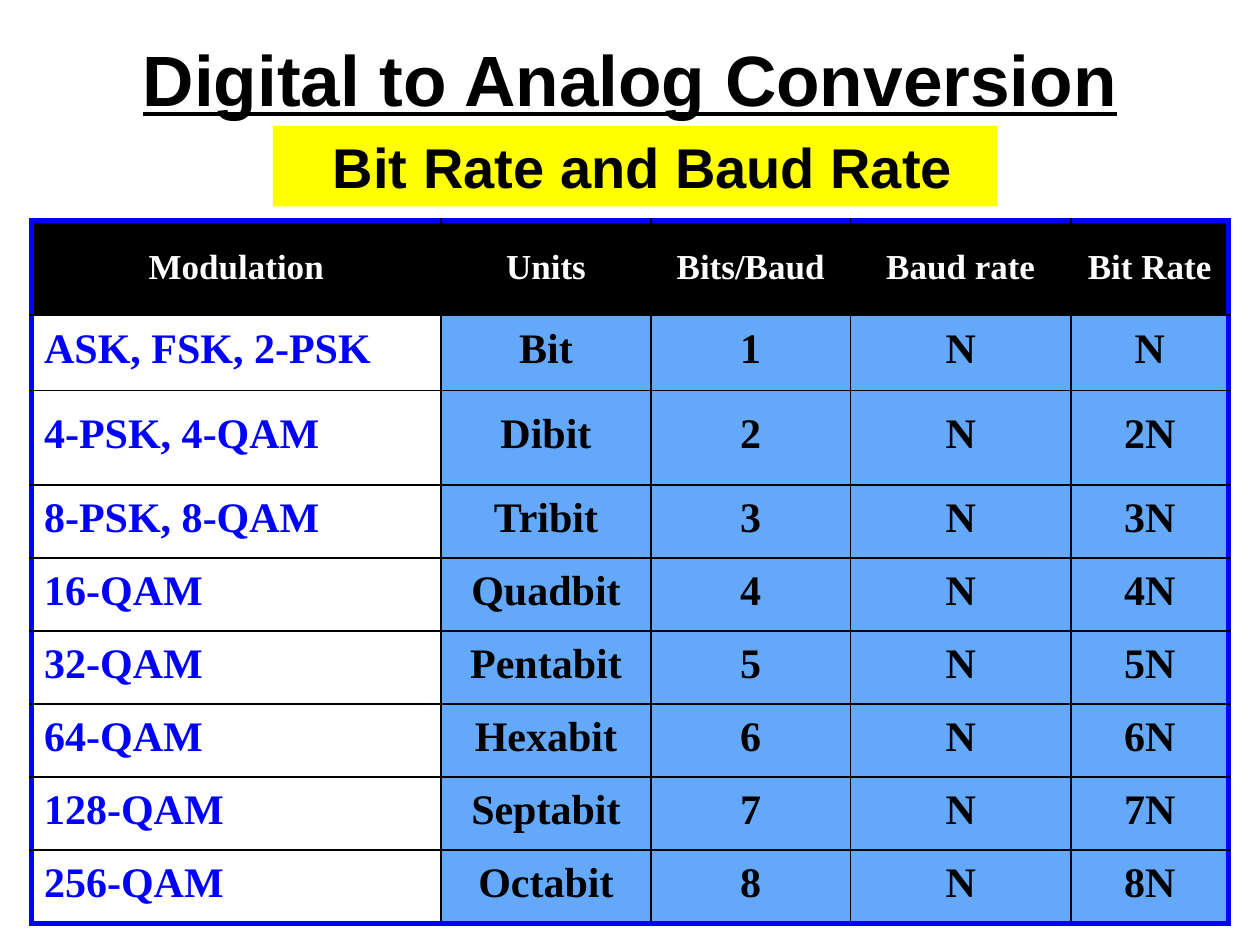
from lxml import etree
from pptx import Presentation
from pptx.dml.color import RGBColor
from pptx.enum.shapes import MSO_SHAPE
from pptx.enum.text import MSO_ANCHOR, PP_ALIGN
from pptx.oxml.ns import qn
from pptx.util import Pt

RECT = MSO_SHAPE.RECTANGLE
TOP, MID = MSO_ANCHOR.TOP, MSO_ANCHOR.MIDDLE
LEFT, MIDDLE = PP_ALIGN.LEFT, PP_ALIGN.CENTER
BLACK, WHITE, BLUE = "000000", "FFFFFF", "0000FF"
YELLOW, SKY = "FFFF00", "64A8FA"
SANS, SERIF = "Arial", "Times New Roman"

TITLE = "Digital to Analog Conversion"
TOPIC = " Bit Rate and Baud Rate"
HEAD = ["Modulation", "Units", "Bits/Baud", "Baud rate", "Bit Rate"]
UNITS = [
    ("ASK, FSK, 2-PSK", "Bit"),
    ("4-PSK, 4-QAM", "Dibit"),
    ("8-PSK, 8-QAM", "Tribit"),
    ("16-QAM", "Quadbit"),
    ("32-QAM", "Pentabit"),
    ("64-QAM", "Hexabit"),
    ("128-QAM", "Septabit"),
    ("256-QAM", "Octabit"),
]
WIDTHS = [234, 120, 114, 126, 90]
HEIGHTS = [54, 43.2, 54] + [41.75] * 6


def color(code):
    return RGBColor.from_string(code)


def write(frame, text, size=24, font=SANS, ink=BLACK, align=MIDDLE,
          line=None, under=None):
    par = frame.paragraphs[0]
    par.alignment = align
    par.line_spacing = line
    run = par.add_run()
    run.text = text
    face = run.font
    face.name, face.size = font, Pt(size)
    face.bold, face.underline = True, under
    face.color.rgb = color(ink)


def edge(cell, side, ink, width):
    props = cell._tc.get_or_add_tcPr()
    line = etree.SubElement(props, qn("a:ln" + side), w=str(Pt(width)))
    fill = etree.SubElement(line, qn("a:solidFill"))
    etree.SubElement(fill, qn("a:srgbClr"), val=ink)


def paint(cell, fill):
    cell.fill.solid()
    cell.fill.fore_color.rgb = color(fill)


deck = Presentation()
deck.slide_width, deck.slide_height = Pt(720), Pt(540)
slide = deck.slides.add_slide(deck.slide_layouts[6])

title = slide.shapes.add_textbox(Pt(54), Pt(12), Pt(612), Pt(90)).text_frame
title.word_wrap = True
title.vertical_anchor = TOP
title.margin_top = Pt(8)
write(title, TITLE, size=40.7, under=True)

band = slide.shapes.add_shape(RECT, Pt(156), Pt(72), Pt(414), Pt(46))
band.shadow.inherit = False
paint(band, YELLOW)
band.line.fill.background()
band.text_frame.word_wrap = True
band.text_frame.vertical_anchor = MID
write(band.text_frame, TOPIC, size=32)

rows = [HEAD]
for bits, (name, unit) in enumerate(UNITS, 1):
    rows.append([name, unit, str(bits), "N", "N" if bits == 1 else f"{bits}N"])

table = slide.shapes.add_table(
    len(rows), len(HEAD), Pt(18), Pt(126), Pt(sum(WIDTHS)), Pt(sum(HEIGHTS))
).table
for col, width in zip(table.columns, WIDTHS):
    col.width = Pt(width)
for row, height in zip(table.rows, HEIGHTS):
    row.height = Pt(height)

for r, row in enumerate(rows):
    for c, text in enumerate(row):
        cell = table.cell(r, c)
        cell.vertical_anchor = MID
        outer = {"L": c == 0, "R": c == len(HEAD) - 1,
                 "T": r == 0, "B": r == len(rows) - 1}
        for side, rim in outer.items():
            edge(cell, side, BLUE if rim else BLACK, 3 if rim else 1)
        if r == 0:
            paint(cell, BLACK)
            write(cell.text_frame, text, size=20, font=SERIF, ink=WHITE)
        elif c == 0:
            paint(cell, WHITE)
            write(cell.text_frame, text, font=SERIF, ink=BLUE, align=LEFT, line=0.8)
        else:
            paint(cell, SKY)
            write(cell.text_frame, text, font=SERIF, line=0.8)

deck.save("out.pptx")
